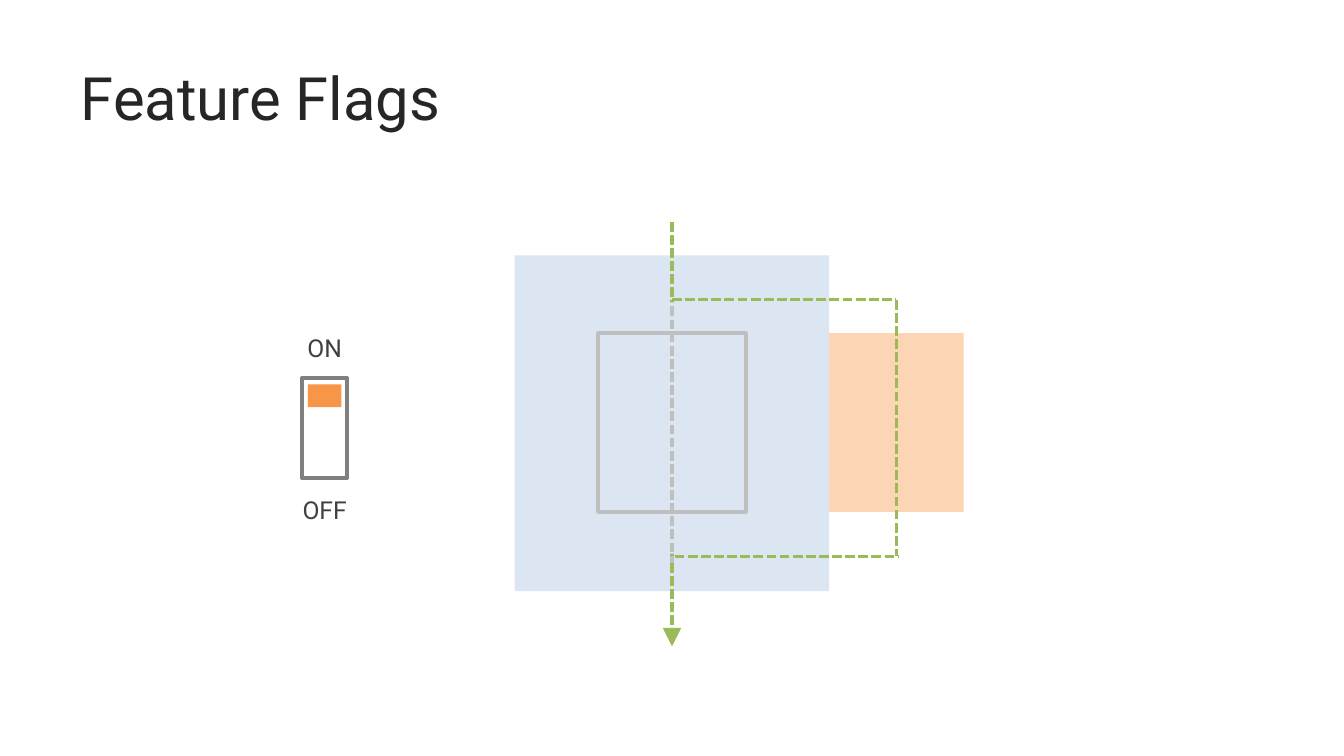
from pptx import Presentation, util as u
from pptx.dml.color import RGBColor
from pptx.enum import dml, shapes, text
from pptx.oxml.ns import qn
from lxml import etree

INK = RGBColor(0x26, 0x26, 0x26)
LABEL = RGBColor(0x40, 0x40, 0x40)
WHITE = RGBColor(0xFF, 0xFF, 0xFF)
PALE_BLUE = RGBColor(0xDC, 0xE6, 0xF2)
PEACH = RGBColor(0xFC, 0xD5, 0xB5)
ORANGE = RGBColor(0xF7, 0x96, 0x46)
GREEN = RGBColor(0x9B, 0xBB, 0x59)
SILVER = RGBColor(0xBF, 0xBF, 0xBF)
GRAY = RGBColor(0x80, 0x80, 0x80)


class SlideBuilder:
    font = "Roboto"
    outline_width = u.Pt(2)
    path_width = u.Pt(1.75)

    def __init__(self, slide):
        self.slide = slide

    def _write(self, frame, wording, size, color, align):
        frame.text = wording
        paragraph = frame.paragraphs[0]
        paragraph.alignment = align
        font = paragraph.runs[0].font
        font.name, font.size, font.color.rgb = self.font, u.Pt(size), color

    def title(self, wording, left, top, width, height):
        heading = self.slide.shapes.title
        heading.left, heading.top = u.Inches(left), u.Inches(top)
        heading.width, heading.height = u.Inches(width), u.Inches(height)
        heading.text_frame.vertical_anchor = text.MSO_ANCHOR.MIDDLE
        self._write(heading.text_frame, wording, 32, INK, text.PP_ALIGN.LEFT)

    def label(self, wording, left, top, width, height):
        frame = self.slide.shapes.add_textbox(
            *map(u.Inches, (left, top, width, height))).text_frame
        frame.word_wrap = True
        frame.margin_left = frame.margin_right = 0
        frame.margin_top = frame.margin_bottom = 0
        self._write(frame, wording, 13.2, LABEL, text.PP_ALIGN.CENTER)

    def box(self, left, top, width, height, fill=None, outline=None):
        box = self.slide.shapes.add_shape(
            shapes.MSO_SHAPE.RECTANGLE,
            *map(u.Inches, (left, top, width, height)))
        box.shadow.inherit = False
        if fill is None:
            box.fill.background()
        else:
            box.fill.solid()
            box.fill.fore_color.rgb = fill
        if outline is None:
            box.line.fill.background()
        else:
            box.line.color.rgb = outline
            box.line.width = self.outline_width

    def dashed_path(self, x1, y1, x2, y2, color=GREEN, arrow=False):
        path = self.slide.shapes.add_connector(
            shapes.MSO_CONNECTOR.STRAIGHT, *map(u.Inches, (x1, y1, x2, y2)))
        path.line.color.rgb = color
        path.line.width = self.path_width
        path.line.dash_style = dml.MSO_LINE.SQUARE_DOT
        if arrow:
            etree.SubElement(path.line._ln, qn("a:tailEnd"),
                             type="triangle", w="lg", len="lg")
        etree.SubElement(path._element.spPr, qn("a:effectLst"))


def main():
    deck = Presentation()
    deck.slide_width = u.Inches(10)
    deck.slide_height = deck.slide_width * 9 // 16
    title_only = deck.slide_layouts[5]
    page = SlideBuilder(deck.slides.add_slide(title_only))
    page.title("Feature Flags", 0.5, 0.25, 9, 0.94)

    # Application with its main flow and the new feature beside it
    flow_x, detour_x = 5, 6.67
    detour_top, detour_bottom = 2.23, 4.14
    feature_top, feature_height = 2.48, 1.33
    page.box(3.83, 1.9, 2.34, 2.5, PALE_BLUE)
    page.dashed_path(flow_x, 1.65, flow_x, 4.81, arrow=True)
    page.box(6.17, feature_top, 1, feature_height, PEACH)

    # Detour through the new feature
    page.dashed_path(flow_x, detour_top, detour_x, detour_top)
    page.dashed_path(detour_x, detour_top, detour_x, detour_bottom)
    page.dashed_path(flow_x + 0.02, detour_bottom,
                     detour_x + 0.02, detour_bottom)

    # Bypassed old feature: hide the green flow, then draw it in gray
    page.box(4.36, 2.25, 1.47, 1.87, PALE_BLUE)
    page.box(4.45, feature_top, 1.1, feature_height, outline=SILVER)
    page.dashed_path(flow_x, 2.28, flow_x, 4.19, SILVER)

    # Toggle switch
    page.box(2.25, 2.81, 0.33, 0.75, WHITE, GRAY)
    for state, top in (("ON", 2.48), ("OFF", 3.68)):
        page.label(state, 1.87, top, 1.09, 0.22)
    page.box(2.29, 2.86, 0.25, 0.17, ORANGE)

    deck.save("out.pptx")


if __name__ == "__main__":
    main()
